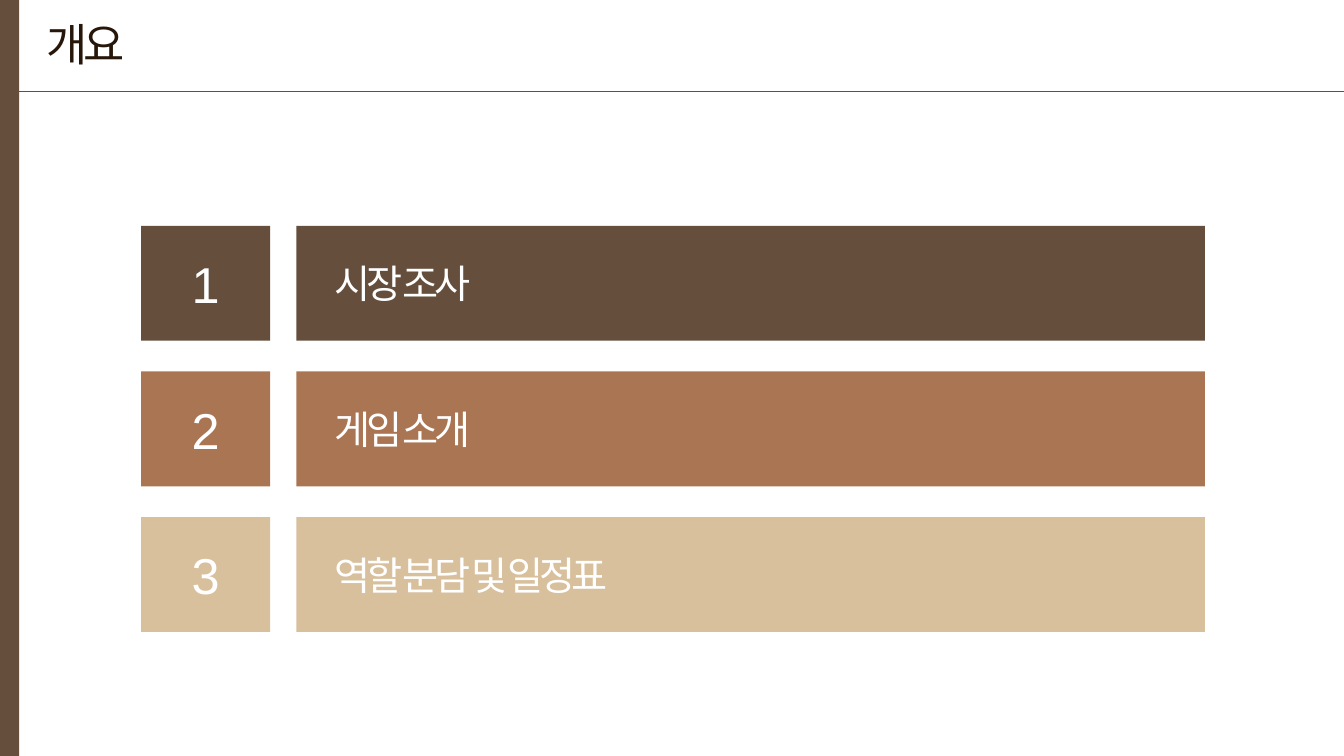
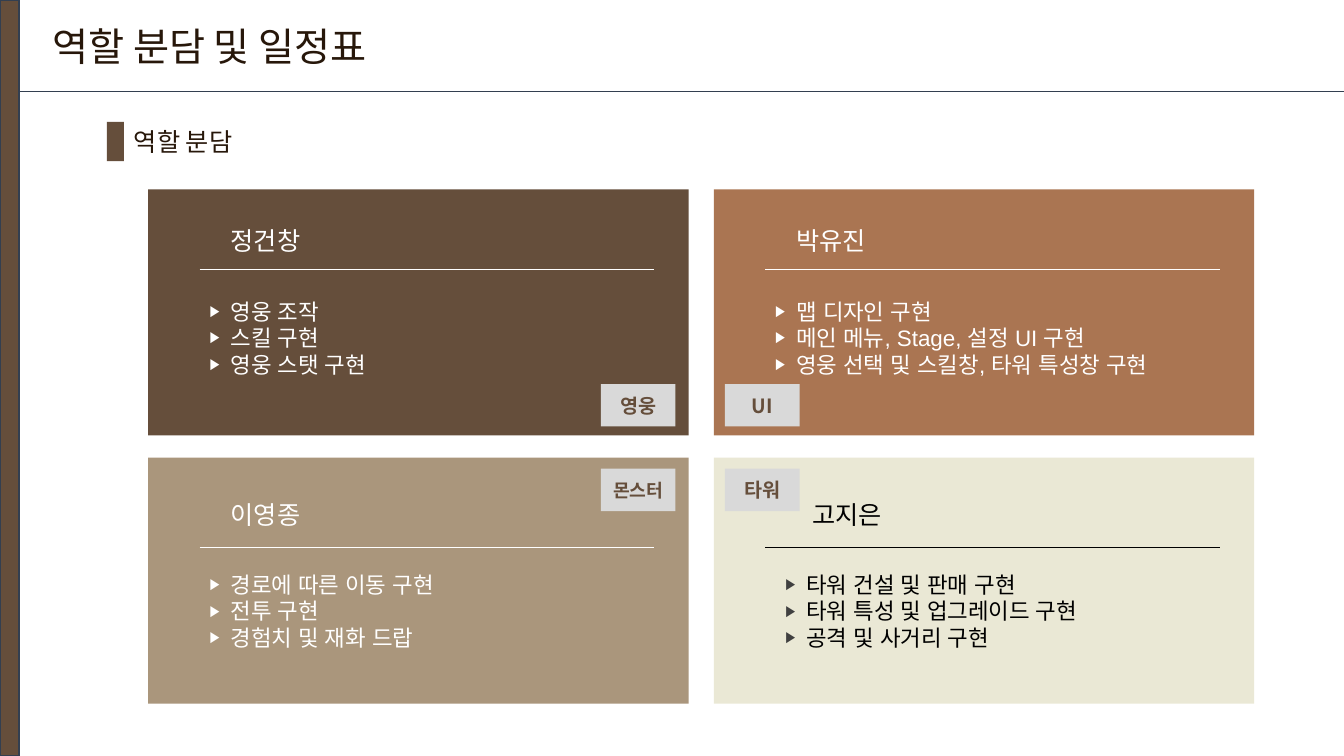
from lxml import etree
from pptx import Presentation
from pptx.dml.color import RGBColor
from pptx.enum.shapes import MSO_CONNECTOR, MSO_SHAPE
from pptx.enum.text import MSO_ANCHOR, PP_ALIGN
from pptx.oxml.ns import qn
from pptx.util import Inches, Pt

RECT, STRAIGHT = MSO_SHAPE.RECTANGLE, MSO_CONNECTOR.STRAIGHT
TOP, MIDDLE = MSO_ANCHOR.TOP, MSO_ANCHOR.MIDDLE
LEFT, CENTER = PP_ALIGN.LEFT, PP_ALIGN.CENTER

KOREAN, LATIN = "Noto Sans CJK KR", "Arial"
BROWN, COPPER, SAND = "654E3B", "AA7552", "D8C09D"
TAUPE, CREAM, GRAY = "AA967C", "EAE8D5", "D9D9D9"
INK, SLATE, WHITE, BLACK, CHARCOAL = "27170A", "333F50", "FFFFFF", "000000", "404040"

SLIDE_W, SLIDE_H = 13.33, 7.5
BAND_W, HEADER_Y = 0.19, 0.91

AGENDA = [("시장 조사", BROWN), ("게임 소개", COPPER), ("역할 분담 및 일정표", SAND)]

# Each panel lists its tasks in reading order, two panels to a row.
ROLES = [
    dict(name="정건창", badge="영웅", fill=BROWN,
         tasks=["영웅 조작", "스킬 구현", "영웅 스탯 구현"]),
    dict(name="박유진", badge="UI", fill=COPPER,
         tasks=["맵 디자인 구현", "메인 메뉴, Stage, 설정 UI 구현",
                "영웅 선택 및 스킬창, 타워 특성창 구현"]),
    dict(name="이영종", badge="몬스터", fill=TAUPE, badge_size=13,
         tasks=["경로에 따른 이동 구현", "전투 구현", "경험치 및 재화 드랍"]),
    dict(name="고지은", badge="타워", fill=CREAM, color=BLACK, bullet=CHARCOAL,
         shift=0.1, name_indent=0.27,
         tasks=["타워 건설 및 판매 구현", "타워 특성 및 업그레이드 구현",
                "공격 및 사거리 구현"]),
]


def rgb(value):
    return RGBColor.from_string(value)


def format_paragraph(p, size, color, font=KOREAN, bold=False, spacing=0, align=LEFT):
    """Style every run; spacing is the tracking in points."""
    p.alignment = align
    for r in p.runs:
        r.font.size, r.font.bold, r.font.name = Pt(size), bold, font
        r.font.color.rgb = rgb(color)
        props = r.font._element
        etree.SubElement(props, qn("a:ea")).set("typeface", font)
        if spacing:
            props.set("spc", str(spacing * 100))


def set_text(shape, text, size, color, anchor=MIDDLE, inset=0.1, **style):
    tf = shape.text_frame
    tf.word_wrap = True
    tf.vertical_anchor = anchor
    tf.margin_left = Inches(inset)
    tf.text = text
    format_paragraph(tf.paragraphs[0], size, color, **style)
    return tf


def add_rect(s, x, y, w, h, fill, line=None):
    shape = s.shapes.add_shape(RECT, Inches(x), Inches(y), Inches(w), Inches(h))
    shape.shadow.inherit = False
    shape.fill.solid()
    shape.fill.fore_color.rgb = rgb(fill)
    if line:
        shape.line.color.rgb = rgb(line)
        shape.line.width = Pt(1)
    else:
        shape.line.fill.background()
    return shape


def add_textbox(s, x, y, w, h, text, size, color, **style):
    box = s.shapes.add_textbox(Inches(x), Inches(y), Inches(w), Inches(h))
    return set_text(box, text, size, color, anchor=TOP, **style)


def add_rule(s, x1, x2, y, color):
    rule = s.shapes.add_connector(STRAIGHT, Inches(x1), Inches(y), Inches(x2), Inches(y))
    rule.line.color.rgb = rgb(color)
    rule.line.width = Pt(0.5)
    etree.SubElement(rule._element.spPr, qn("a:effectLst"))


def add_bullet(p, color, indent):
    props = p._p.get_or_add_pPr()
    props.set("marL", str(Inches(indent)))
    props.set("indent", str(-Inches(indent)))
    bullet_color = etree.SubElement(props, qn("a:buClr"))
    etree.SubElement(bullet_color, qn("a:srgbClr")).set("val", color)
    etree.SubElement(props, qn("a:buSzPct")).set("val", "69000")
    etree.SubElement(props, qn("a:buFont")).set("typeface", LATIN)
    etree.SubElement(props, qn("a:buChar")).set("char", "▶")


def add_slide(prs, title, x, y, size, rule_color, band_line=None, spacing=0):
    """Add a slide with the side band, header rule and title."""
    s = prs.slides.add_slide(prs.slide_layouts[6])
    add_rule(s, BAND_W, SLIDE_W, HEADER_Y, rule_color)
    add_rect(s, 0, 0, BAND_W, SLIDE_H, BROWN, band_line)
    add_textbox(s, x, y, 4, 0.57, title, size, INK, spacing=spacing)
    return s


def build_agenda(prs):
    s = add_slide(prs, "개요", 0.36, 0.12, 32, BROWN, spacing=-3)
    for i, (label, fill) in enumerate(AGENDA):
        y = 2.24 + 1.445 * i
        number = add_rect(s, 1.4, y, 1.28, 1.14, fill)
        set_text(number, str(i + 1), 36, WHITE, font=LATIN, spacing=-3, align=CENTER)
        bar = add_rect(s, 2.94, y, 9.01, 1.14, fill)
        set_text(bar, label, 28, WHITE, inset=0.38, spacing=-3)


def add_role(s, role, col, row):
    x, y = 1.47 + 5.61 * col, 1.88 + 2.66 * row
    color = role.get("color", WHITE)
    add_rect(s, x, y, 5.36, 2.44, role["fill"])

    tf = add_textbox(s, x + 0.51 + role.get("shift", 0), 2.19 + 2.71 * row, 4.75, 1.65,
                     role["name"], 18, color)
    name = tf.paragraphs[0]
    name._p.get_or_add_pPr().set("marL", str(Inches(role.get("name_indent", 0.21))))
    name.space_after = Pt(30)
    for task in role["tasks"]:
        p = tf.add_paragraph()
        p.text = task
        p.line_spacing = Pt(19)
        format_paragraph(p, 16, color, font=LATIN)
        add_bullet(p, role.get("bullet", color), 0.21)

    badge = add_rect(s, 5.96 + 1.23 * col, 3.81 + 0.84 * row, 0.74, 0.42, GRAY)
    set_text(badge, role["badge"], role.get("badge_size", 14), BROWN,
             bold=True, align=CENTER)
    add_rule(s, x + 0.51, x + 5.02, 2.67 + 2.76 * row, color)


def build_roles(prs):
    s = add_slide(prs, "역할 분담 및 일정표", 0.42, 0.17, 28, SLATE, band_line=SLATE)
    add_rect(s, 1.06, 1.21, 0.17, 0.39, BROWN)
    add_textbox(s, 1.23, 1.2, 1.98, 0.4, "역할 분담", 18, INK)
    for i, role in enumerate(ROLES):
        add_role(s, role, col=i % 2, row=i // 2)


def main():
    prs = Presentation()
    prs.slide_width, prs.slide_height = Inches(SLIDE_W), Inches(SLIDE_H)
    build_agenda(prs)
    build_roles(prs)
    prs.save("out.pptx")


if __name__ == "__main__":
    main()
